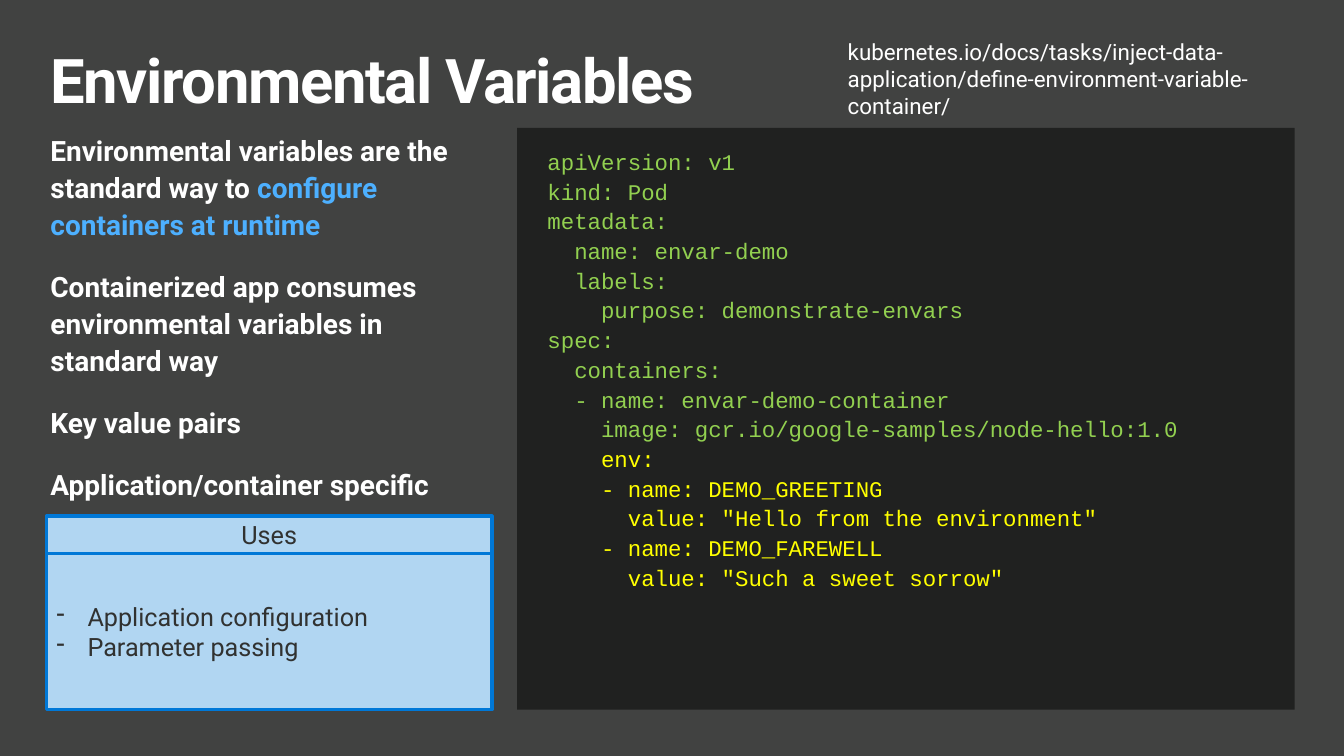
"""Build the slide on environmental variables for containers."""
from lxml.etree import SubElement
from pptx import Presentation
from pptx.dml.color import RGBColor
from pptx.enum.shapes import MSO_SHAPE as Shape
from pptx.enum.text import MSO_ANCHOR as Anchor, PP_ALIGN as Align
from pptx.oxml.ns import qn
from pptx.util import Pt

PX = 9144
WHITE, DARK, GREEN, YELLOW = "FFFFFF", "313231", "92D050", "FFFF00"
SKY, PALE, EDGE = "4DB0FF", "B1D6F2", "0078D7"


def paint(target, color):
    """Give a fill a solid colour."""
    target.solid()
    target.fore_color.rgb = RGBColor.from_string(color)


def write(frame, paragraphs, size=18, font="Roboto", bold=False, align=Align.LEFT,
          anchor=Anchor.TOP, insets=(10, 5, 10, 5), spacing=None, before=0, after=0):
    """Fill a text frame with paragraphs, each a list of (text, colour) runs."""
    frame.word_wrap = True
    frame.vertical_anchor = anchor
    (frame.margin_left, frame.margin_top,
     frame.margin_right, frame.margin_bottom) = [inset * PX for inset in insets]
    for index, runs in enumerate(paragraphs):
        paragraph = frame.add_paragraph() if index else frame.paragraphs[0]
        paragraph.alignment = align
        paragraph.line_spacing = spacing
        paragraph.space_before = Pt(before if index else 0)
        paragraph.space_after = Pt(after)
        for text, color in runs:
            run = paragraph.add_run()
            run.text = text
            run.font.size, run.font.name, run.font.bold = Pt(size), font, bold
            paint(run.font.fill, color)


deck = Presentation()
deck.slide_width, deck.slide_height = 1333 * PX, 750 * PX
slide = deck.slides.add_slide(deck.slide_layouts[5])
paint(slide.background.fill, "414241")

panels = []
for at, fill, edge in [
    ((513, 127, 771, 577), "202120", None),
    ((46, 549, 442, 155), PALE, EDGE),
    ((46, 512, 442, 37), PALE, EDGE),
]:
    panel = slide.shapes.add_shape(Shape.RECTANGLE, *[n * PX for n in at])
    panel.shadow.inherit = False
    paint(panel.fill, fill)
    if edge:
        paint(panel.line.fill, edge)
        panel.line.width = Pt(2.25)
    else:
        panel.line.fill.background()
    panels.append(panel.text_frame)
manifest, uses, uses_heading = panels

pod = """apiVersion: v1
kind: Pod
metadata:
  name: envar-demo
  labels:
    purpose: demonstrate-envars
spec:
  containers:
  - name: envar-demo-container
    image: gcr.io/google-samples/node-hello:1.0"""
env = """    env:
    - name: DEMO_GREETING
      value: "Hello from the environment"
    - name: DEMO_FAREWELL
      value: "Such a sweet sorrow\""""
code = [[(line, color)] for block, color in [(pod, GREEN), (env, YELLOW)]
        for line in block.splitlines()]
write(manifest, code, size=16, font="Courier New", insets=(30, 20, 20, 20), after=2)

write(uses_heading, [[("Uses", DARK)]], align=Align.CENTER, anchor=Anchor.MIDDLE)
write(uses, [[("Application configuration", DARK)], [("Parameter passing", DARK)]],
      anchor=Anchor.MIDDLE)
for use in uses.paragraphs:
    properties = use._p.get_or_add_pPr()
    properties.set("marL", str(31 * PX))
    properties.set("indent", str(-31 * PX))
    SubElement(properties, qn("a:buChar")).set("char", "-")

title = slide.shapes.title
title.left, title.top, title.width, title.height = [n * PX for n in (50, 50, 750, 79)]
write(title.text_frame, [[("Environmental Variables", WHITE)]], size=44, bold=True,
      insets=(0, 0, 0, 0), spacing=0.9)
title.text_frame.paragraphs[0].runs[0].font._element.set("spc", "-100")

points = slide.shapes.add_textbox(*[n * PX for n in (50, 129, 463, 382)])
write(points.text_frame, [
    [("Environmental variables are the standard way to ", WHITE),
     ("configure containers at runtime", SKY)],
    [("Containerized app consumes environmental variables in standard way", WHITE)],
    [("Key value pairs", WHITE)],
    [("Application/container specific", WHITE)],
], size=20, bold=True, insets=(0, 0, 20, 0), spacing=1.1, before=12, after=6)

link = slide.shapes.add_textbox(*[n * PX for n in (831, 33, 463, 91)])
write(link.text_frame, [[("kubernetes.io/docs/tasks/inject-data-application/"
                          "define-environment-variable-container/", WHITE)]], size=16)

deck.save("out.pptx")
